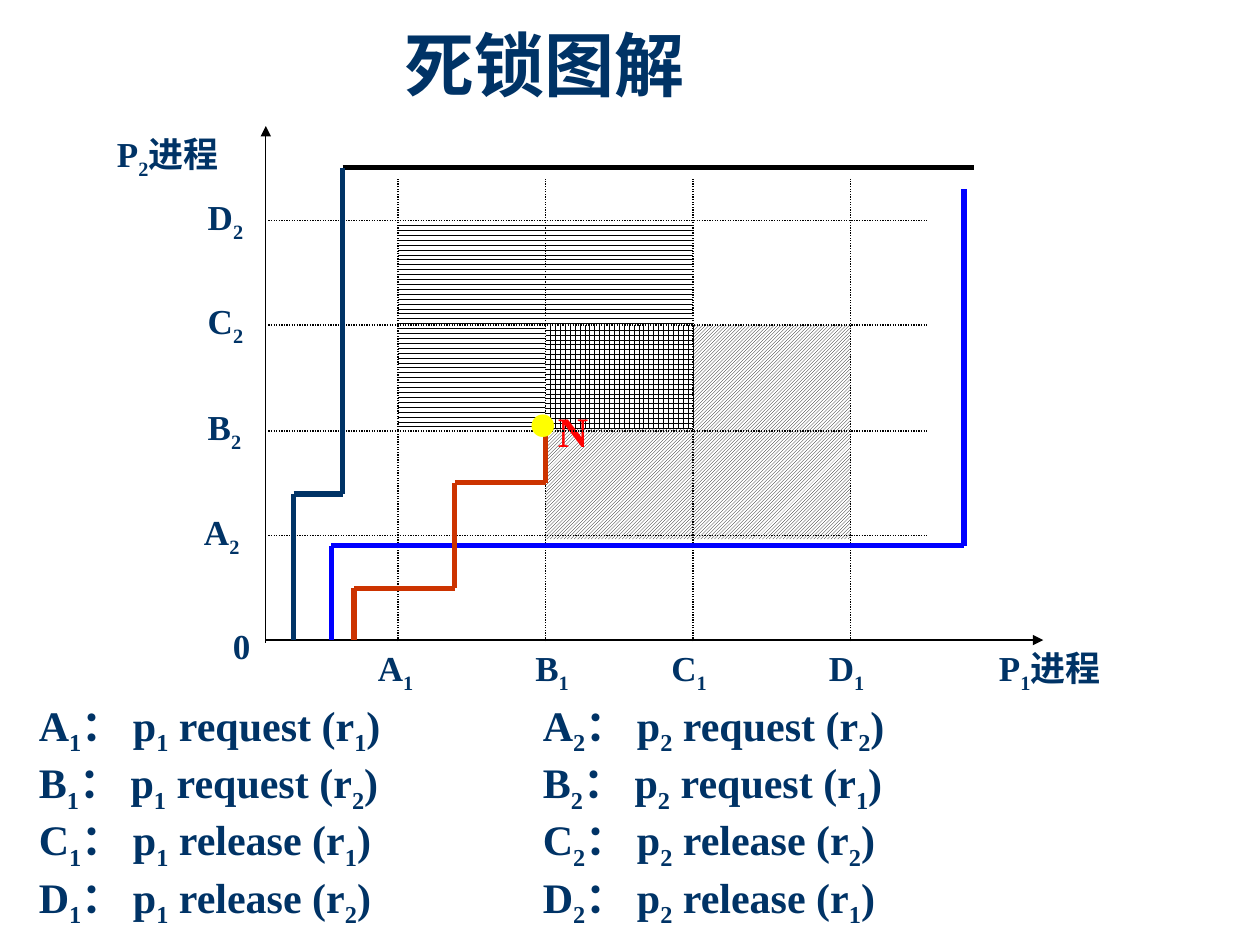
import pptx
import pptx.util
import pptx.dml.color
import pptx.enum.dml
import pptx.enum.shapes
import pptx.enum.text
import pptx.oxml
import pptx.oxml.ns
from dataclasses import dataclass

Inches, Pt = pptx.util.Inches, pptx.util.Pt
Pattern = pptx.enum.dml.MSO_PATTERN
Align = pptx.enum.text.PP_ALIGN


@dataclass(frozen=True)
class Theme:
    navy: str = "003366"
    blue: str = "0000FF"
    rust: str = "CC3300"
    red: str = "FF0000"
    yellow: str = "FFFF00"
    black: str = "000000"
    white: str = "FFFFFF"
    head_font: str = "Arial"
    body_font: str = "Times New Roman"
    title: int = 40
    legend: int = 24
    label: int = 20
    dot: int = 54
    thin: float = 0.75
    thick: float = 3


def rgb(value):
    return pptx.dml.color.RGBColor.from_string(value)


class Diagram:
    """Holds the theme and the slide being drawn."""

    def __init__(self, slide, theme):
        self.slide, self.theme = slide, theme

    def run(self, p, text, size, color, font, bold=True, sub=False):
        r = p.add_run()
        r.text = text
        r.font.size, r.font.name, r.font.bold = Pt(size), font, bold
        r.font.color.rgb = rgb(color)
        if sub:
            r.font._element.set("baseline", "-25000")

    def rich(self, p, text, size, color, bold=True):
        """Add runs; the character after each underscore is a subscript."""
        first, *rest = text.split("_")
        pieces = [(first, False)]
        for part in rest:
            pieces += [(part[0], True), (part[1:], False)]
        for piece, sub in pieces:
            if piece:
                self.run(p, piece, size, color, self.theme.body_font, bold, sub)

    def title(self, text, x, y, w, h):
        s = self.slide.shapes.title
        s.left, s.top, s.width, s.height = map(Inches, (x, y, w, h))
        tf = s.text_frame
        tf.vertical_anchor = pptx.enum.text.MSO_ANCHOR.TOP
        p = tf.paragraphs[0]
        p.alignment, p.line_spacing = Align.LEFT, 0.9
        self.run(p, text, self.theme.title, self.theme.navy, self.theme.head_font)

    def text(self, lines, x, y, w, h, size=None, color=None, bold=True,
             before=0, tabs=()):
        tf = self.slide.shapes.add_textbox(*map(Inches, (x, y, w, h))).text_frame
        tf.word_wrap = True
        for i, line in enumerate(lines):
            p = tf.add_paragraph() if i else tf.paragraphs[0]
            p.alignment, p.space_before = Align.JUSTIFY, Pt(before)
            if tabs:
                stops = "".join(f'<a:tab pos="{Inches(pos)}" algn="l"/>'
                                for pos in tabs)
                p._p.get_or_add_pPr().append(pptx.oxml.parse_xml(
                    f'<a:tabLst {pptx.oxml.ns.nsdecls("a")}>{stops}</a:tabLst>'))
            self.rich(p, line, size or self.theme.label,
                      color or self.theme.navy, bold)

    def line(self, start, end, color, width, dotted=False, arrow=False):
        s = self.slide.shapes.add_connector(
            pptx.enum.shapes.MSO_CONNECTOR.STRAIGHT,
            *map(Inches, (*start, *end)))
        s.line.color.rgb, s.line.width = rgb(color), Pt(width)
        if dotted:
            s.line.dash_style = pptx.enum.dml.MSO_LINE.ROUND_DOT
        qn, make = pptx.oxml.ns.qn, pptx.oxml.parse_xml
        ns = pptx.oxml.ns.nsdecls("a")
        sp_pr = s._element.spPr
        if arrow:
            sp_pr.find(qn("a:ln")).append(
                make(f'<a:tailEnd {ns} type="triangle"/>'))
        sp_pr.append(make(f"<a:effectLst {ns}/>"))

    def route(self, points, color):
        for start, end in zip(points, points[1:]):
            self.line(start, end, color, self.theme.thick)

    def hatch(self, left, top, right, bottom, pattern):
        s = self.slide.shapes.add_shape(
            pptx.enum.shapes.MSO_SHAPE.RECTANGLE,
            *map(Inches, (left, top, right - left, bottom - top)))
        s.shadow.inherit = False
        s.line.fill.background()
        s.fill.patterned()
        s.fill.pattern = pattern
        s.fill.fore_color.rgb = rgb(self.theme.black)
        s.fill.back_color.rgb = rgb(self.theme.white)


def main():
    prs = pptx.Presentation()
    prs.slide_width, prs.slide_height = Inches(10), Inches(7.5)
    t = Theme()
    d = Diagram(prs.slides.add_slide(prs.slide_layouts[5]), t)
    d.title("死锁图解", 3.11, 0.2, 3.83, 0.75)

    # Legend: what each process does at each mark
    actions = [("A", "request", 1, 2), ("B", "request", 2, 1),
               ("C", "release", 1, 2), ("D", "release", 2, 1)]
    d.text([f"{m}_1： p_1 {verb} (r_{first})\t\t{m}_2： p_2 {verb} (r_{second})"
            for m, verb, first, second in actions],
           0.21, 5.5, 9.68, 1.72, size=t.legend, tabs=(3, 4))

    # Axes
    x0, y0 = 2.11, 5.08
    d.line((x0, y0), (8.28, y0), t.black, t.thin, arrow=True)
    d.line((x0, 5.1), (x0, 1), t.black, t.thin, arrow=True)

    # Regions where a resource is wanted by both processes
    col = {"A": 3.16, "B": 4.33, "C": 5.5, "D": 6.75}
    row = {"A": 4.25, "B": 3.42, "C": 2.58, "D": 1.75}
    d.hatch(col["A"], row["D"], col["C"], row["B"], Pattern.HORIZONTAL)
    d.hatch(col["B"], row["C"], col["D"], 4.28, Pattern.LIGHT_UPWARD_DIAGONAL)
    d.hatch(col["B"], row["C"], col["C"], 3.4, Pattern.CROSS)
    d.text(["N"], col["B"], 3.17, 0.52, 0.35, size=t.legend, color=t.red)

    # Dotted grid
    for x in col.values():
        d.line((x, 5.09), (x, 1.42), t.black, t.thin, dotted=True)
    for y in row.values():
        d.line((2.13, y), (7.36, y), t.black, t.thin, dotted=True)

    # Execution paths
    d.route([(2.72, 1.33), (7.73, 1.33)], t.black)
    d.route([(2.63, y0), (2.63, 4.33), (7.65, 4.33), (7.65, 1.5)], t.blue)
    d.route([(2.33, y0), (2.33, 3.92), (2.72, 3.92), (2.72, 1.33)], t.navy)
    d.route([(2.81, y0), (2.81, 4.67), (3.61, 4.67), (3.61, 3.83),
             (col["B"], 3.83), (col["B"], row["B"])], t.rust)

    # Axis labels
    d.text(["0"], 1.75, 4.91, 0.52, 0.35)
    for mark, x in zip("ABCD", (2.9, 4.15, 5.23, 6.48)):
        d.text([f"{mark}_1"], x, y0, 0.72, 0.35)
    for mark, x in zip("ABCD", (1.52, 1.55, 1.55, 1.55)):
        d.text([f"{mark}_2"], x, row[mark] - 0.25, 0.72, 0.35)
    d.text(["P_1进程"], 7.83, y0, 1.26, 0.52)
    d.text(["P_2进程"], 0.83, 1, 1.26, 0.52)

    # Deadlock point
    d.text(["•"], 4.08, 2.83, 0.58, 1, size=t.dot, color=t.yellow,
           bold=False, before=5.4)

    prs.save("out.pptx")


if __name__ == "__main__":
    main()
